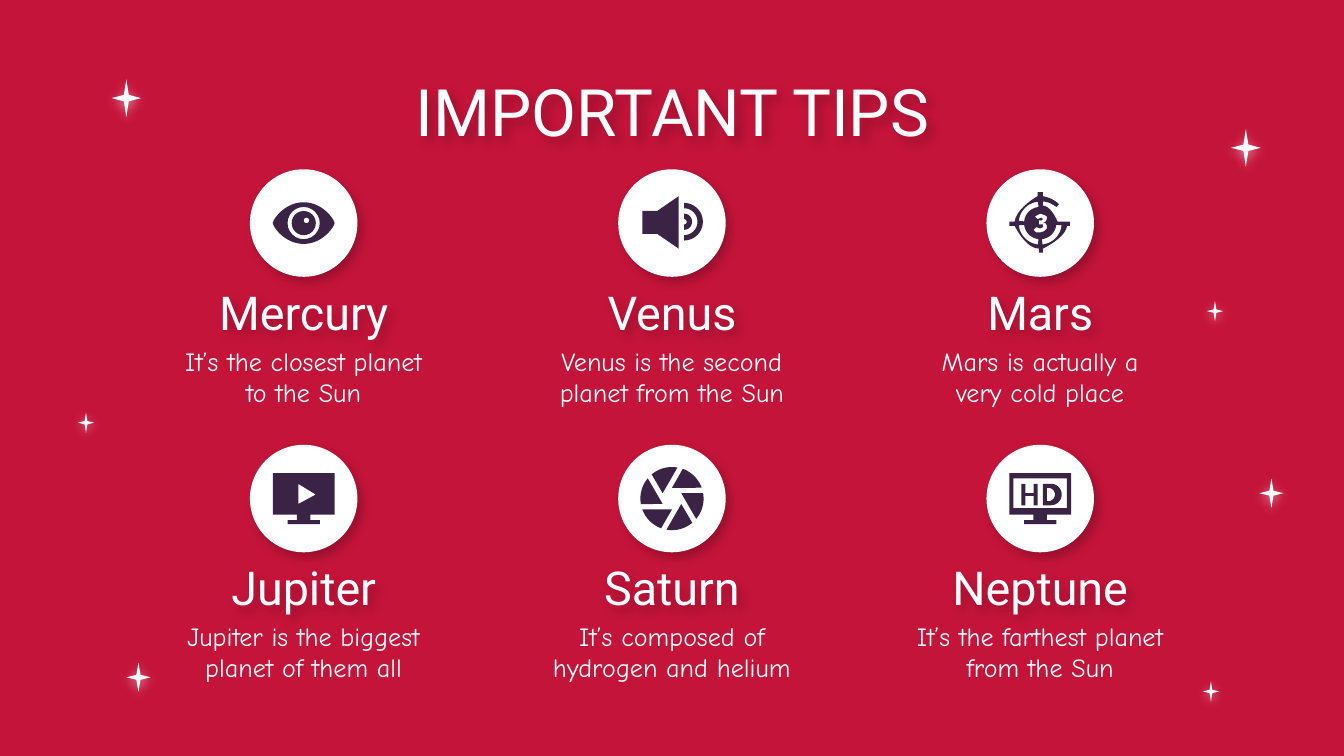
import math

from lxml import etree
from pptx import Presentation
from pptx.dml import color
from pptx.enum import shapes, text
from pptx.oxml import ns
from pptx.util import Inches, Pt

WHITE, RED, PURPLE = "FFFFFF", "C5143A", "3A2345"
DROP_SHADOW = {"hue": "000000", "opacity": 22, "blur": 5.6, "distance": 3.8, "angle": 50}
GLOW = {"hue": WHITE, "opacity": 50, "blur": 5.6, "distance": 1.5, "angle": 90}
HEADING = {"size": Pt(25), "name": "Roboto"}
BODY = {"size": Pt(14), "name": "Comic Neue"}
TITLE = {"size": Pt(35), "name": "Roboto"}


def rgb(value):
    return color.RGBColor.from_string(value)


def arc(radius, start, end, cx=0, cy=0, steps=24):
    angles = [math.radians(start + (end - start) * i / steps) for i in range(steps + 1)]
    return [(cx + radius * math.cos(a), cy + radius * math.sin(a)) for a in angles]


def curve(*controls, steps=10):
    weights = (1, 3, 3, 1)
    points = []
    for i in range(steps + 1):
        t = i / steps
        factors = [w * (1 - t) ** (3 - k) * t ** k for k, w in enumerate(weights)]
        points.append(tuple(sum(f * c[axis] for f, c in zip(factors, controls))
                            for axis in (0, 1)))
    return points


def box(left, top, right, bottom):
    return [(left, top), (right, top), (right, bottom), (left, bottom)]


def ring_sector(outer, inner, start, end, cx=0, cy=0):
    return arc(outer, start, end, cx, cy) + arc(inner, end, start, cx, cy)


def eye():
    lens = [(0.23 * x, math.copysign(0.155 * abs(y) ** 1.5, y)) for x, y in arc(1, 0, 360, steps=60)]
    return [[lens, arc(0.12, 0, 360)],
            [arc(0.09, 0, 360), arc(0.02, 0, 360, 0.02, -0.02)]]


def speaker():
    horn = [(0.05, -0.2), (-0.11, -0.09), (-0.22, -0.09),
            (-0.22, 0.08), (-0.11, 0.08), (0.05, 0.19)]
    waves = [[ring_sector(outer, inner, -90, 90, 0.09, -0.01)]
             for outer, inner in ((0.14, 0.1), (0.06, 0.02))]
    return [[horn]] + waves


def countdown():
    outline = (
        [(-0.02, -0.23)]
        + curve((-0.02, -0.2), (-0.02, -0.2), (-0.18, -0.11), (-0.19, -0.01))
        + [(-0.23, -0.01), (-0.23, 0.02)]
        + curve((-0.19, 0.02), (-0.19, 0.02), (-0.11, 0.19), (-0.01, 0.19))
        + [(-0.01, 0.22), (0.02, 0.22)]
        + curve((0.02, 0.19), (0.02, 0.19), (0.19, 0.11), (0.2, 0.02))
        + [(0.22, 0.02), (0.22, -0.01)]
        + curve((0.13, -0.01), (0.13, -0.01), (0.08, -0.13), (0.02, -0.13))
        + curve((0.02, -0.16), (0.06, -0.16), (0.09, -0.14), (0.12, -0.12))
        + curve((0.14, -0.14), (0.11, -0.17), (0.07, -0.19), (0.02, -0.2))
        + [(0.02, -0.23)])
    digit = [(-0.04, -0.05), (-0.02, -0.06), (0, -0.07), (0.03, -0.06), (0.05, -0.05),
             (0.05, -0.03), (0.04, -0.01), (0.02, 0), (0.04, 0), (0.05, 0.02),
             (0.05, 0.04), (0.03, 0.06), (0, 0.07), (-0.03, 0.07), (-0.05, 0.05),
             (-0.03, 0.03), (0, 0.04), (0.02, 0.03), (0.02, 0.01), (-0.01, 0.01),
             (-0.01, -0.02), (0.01, -0.02), (0.02, -0.03), (0.01, -0.04), (-0.02, -0.03)]
    gaps = [ring_sector(0.16, 0.12, start + 6, start + 84) for start in (0, 90, 180)]
    return [[outline, digit] + gaps]


def monitor():
    return [(-0.23, -0.19), (-0.23, 0.12), (-0.05, 0.12), (-0.05, 0.16),
            (-0.12, 0.16), (-0.12, 0.19), (0.12, 0.19), (0.12, 0.16),
            (0.05, 0.16), (0.05, 0.12), (0.23, 0.12), (0.23, -0.19)]


def player():
    return [[monitor(), [(-0.04, -0.11), (0.09, -0.03), (-0.04, 0.04)]]]


def aperture():
    return [[arc(0.08, turn + 30, turn + 30, steps=1)[:1] + arc(0.235, turn + 100, turn + 50)]
            for turn in range(0, 360, 60)]


def high_definition():
    letter_h = [(-0.14, -0.11), (-0.14, 0.05), (-0.11, 0.05), (-0.11, -0.02),
                (-0.05, -0.02), (-0.05, 0.05), (-0.02, 0.05), (-0.02, -0.11),
                (-0.05, -0.11), (-0.05, -0.04), (-0.11, -0.04), (-0.11, -0.11)]
    letter_d = [(0.02, 0.05), (0.02, -0.11)] + arc(0.08, -90, 90, 0.08, -0.03)
    counter = [(0.05, 0.02), (0.05, -0.08)] + arc(0.05, -90, 90, 0.06, -0.03)
    return [[monitor(), box(-0.2, -0.15, 0.2, 0.07)], [letter_h], [letter_d, counter]]


def cast_shadow(shape, hue, opacity, blur, distance, angle):
    shape.shadow.inherit = False
    effects = shape._element.spPr.find(ns.qn("a:effectLst"))
    shadow = etree.SubElement(effects, ns.qn("a:outerShdw"), blurRad=str(Pt(blur)),
                              dist=str(Pt(distance)), dir=str(angle * 60000),
                              algn="bl", rotWithShape="0")
    tint = etree.SubElement(shadow, ns.qn("a:srgbClr"), val=hue)
    etree.SubElement(tint, ns.qn("a:alpha"), val=str(opacity * 1000))


def paint(shape, hue):
    shape.shadow.inherit = False
    shape.fill.solid()
    shape.fill.fore_color.rgb = rgb(hue)
    shape.line.fill.background()


def add_glowing(slide, kind, left, top, width, height, shadow):
    shape = slide.shapes.add_shape(kind, Inches(left), Inches(top), Inches(width), Inches(height))
    paint(shape, WHITE)
    cast_shadow(shape, **shadow)
    return shape


def add_star(slide, left, top, width, height):
    star = add_glowing(slide, shapes.MSO_SHAPE.STAR_4_POINT, left, top, width, height, GLOW)
    star.adjustments[0] = 0.12


def add_icon(slide, cx, cy, pieces):
    for contours in pieces:
        placed = [[(Inches(cx + x), Inches(cy + y)) for x, y in contour] for contour in contours]
        builder = slide.shapes.build_freeform(*placed[0][0])
        for contour in placed:
            builder.move_to(*contour[0])
            builder.add_line_segments(contour[1:])
        paint(builder.convert_to_shape(), PURPLE)


def write(holder, wording, font):
    frame = holder.text_frame
    layout = {"word_wrap": True, "auto_size": text.MSO_AUTO_SIZE.NONE,
              "vertical_anchor": text.MSO_ANCHOR.MIDDLE}
    layout.update({f"margin_{side}": Inches(0.1) for side in ("left", "top", "right", "bottom")})
    for attribute, value in layout.items():
        setattr(frame, attribute, value)
    frame.text = wording
    paragraph = frame.paragraphs[0]
    paragraph.alignment = text.PP_ALIGN.CENTER
    run_font = paragraph.runs[0].font
    for attribute, value in font.items():
        setattr(run_font, attribute, value)
    run_font.color.rgb = rgb(WHITE)


def add_label(slide, cx, top, height, wording, font):
    label = slide.shapes.add_textbox(Inches(cx - 1.03), Inches(top), Inches(2.06), Inches(height))
    write(label, wording, font)
    return label


def add_tip(slide, cx, cy, planet, fact, icon):
    heading = add_label(slide, cx, cy + 0.4, 0.52, planet, HEADING)
    cast_shadow(heading, **DROP_SHADOW)
    add_label(slide, cx, cy + 0.9, 0.48, fact, BODY)
    add_glowing(slide, shapes.MSO_SHAPE.OVAL, cx - 0.4, cy - 0.4, 0.8, 0.8, DROP_SHADOW)
    add_icon(slide, cx, cy, icon())


def add_title(slide, wording):
    title = slide.shapes.title
    place = {"left": 0.79, "top": 0.58, "width": 8.43, "height": 0.48}
    for attribute, value in place.items():
        setattr(title, attribute, Inches(value))
    write(title, wording, TITLE)
    cast_shadow(title, **DROP_SHADOW)


def main():
    deck = Presentation()
    deck.slide_width, deck.slide_height = Inches(10), Inches(10 * 9 / 16)
    slide = deck.slides.add_slide(deck.slide_layouts[5])
    slide.background.fill.solid()
    slide.background.fill.fore_color.rgb = rgb(RED)
    add_title(slide, "IMPORTANT TIPS")
    tips = [("Mercury", "It’s the closest planet to the Sun", eye),
            ("Venus", "Venus is the second planet from the Sun", speaker),
            ("Mars", "Mars is actually a very cold place", countdown),
            ("Jupiter", "Jupiter is the biggest planet of them all", player),
            ("Saturn", "It’s composed of hydrogen and helium", aperture),
            ("Neptune", "It’s the farthest planet from the Sun", high_definition)]
    for index, tip in enumerate(tips):
        row, column = divmod(index, 3)
        add_tip(slide, 2.26 + 2.74 * column, 1.66 + 2.05 * row, *tip)
    star_sizes = {(0.22, 0.28): [(9.16, 0.96), (0.83, 0.59)],
                  (0.18, 0.22): [(9.37, 3.56), (0.94, 4.93)],
                  (0.12, 0.15): [(8.98, 2.24), (0.58, 3.07), (8.95, 5.07)]}
    for size, corners in star_sizes.items():
        for corner in corners:
            add_star(slide, *corner, *size)
    deck.save("out.pptx")


if __name__ == "__main__":
    main()
